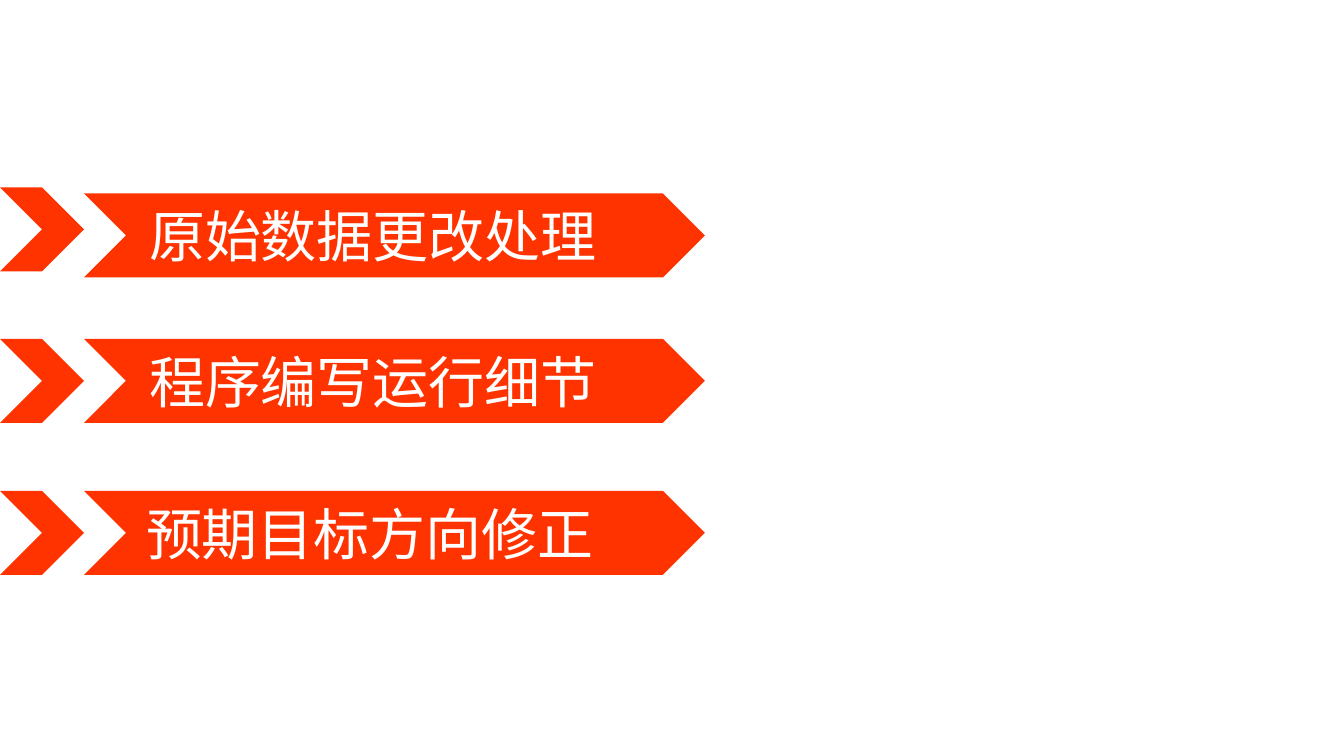
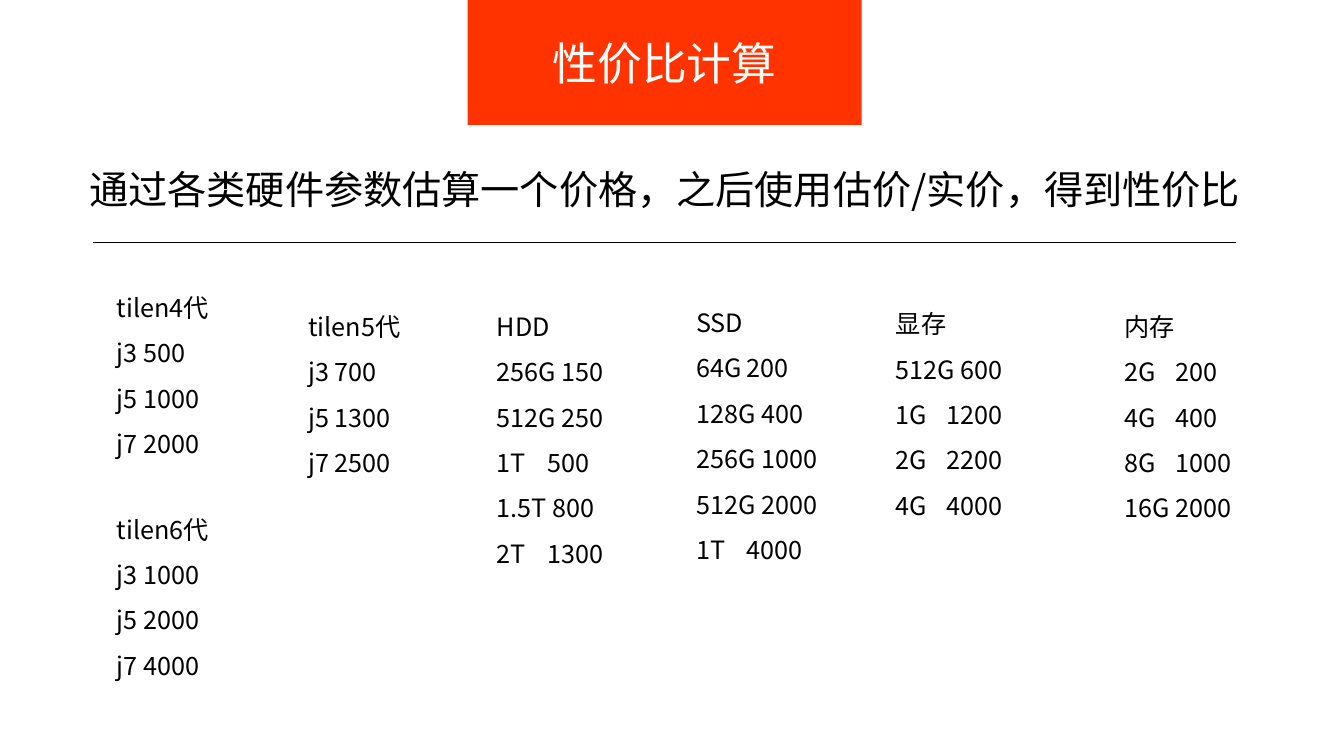
from dataclasses import dataclass

from lxml import etree
from pptx import Presentation
from pptx.dml.color import RGBColor
from pptx.enum.shapes import MSO_CONNECTOR, MSO_SHAPE
from pptx.enum.text import MSO_ANCHOR, MSO_AUTO_SIZE, PP_ALIGN
from pptx.oxml.ns import qn
from pptx.util import Pt

# Shared style
ORANGE = RGBColor(0xFF, 0x33, 0x00)
WHITE = RGBColor(0xFF, 0xFF, 0xFF)
BLACK = RGBColor(0x00, 0x00, 0x00)
FONT = "Noto Sans CJK SC"
CHEVRON = MSO_SHAPE.CHEVRON
RECTANGLE = MSO_SHAPE.RECTANGLE
STRAIGHT = MSO_CONNECTOR.STRAIGHT
LEFT, CENTER = PP_ALIGN.LEFT, PP_ALIGN.CENTER
TOP, MIDDLE = MSO_ANCHOR.TOP, MSO_ANCHOR.MIDDLE
NO_FIT = MSO_AUTO_SIZE.NONE

# Layout of the default template
CONTENT_LAYOUT, BLANK_LAYOUT = 1, 6

# Measures in points
PAGE_WIDTH, PAGE_HEIGHT = 960, 540
ARROW = 60
BANNER_WIDTH = 443.5
LABEL_WIDTH = 350
PRICE_WIDTH = 130
LINE_HEIGHT = 33
PRICE_TABS = (32, 40)


@dataclass(frozen=True)
class Step:
    label: str
    top: float
    arrow_top: float
    label_left: float


@dataclass(frozen=True)
class PriceList:
    left: float
    top: float
    lines: tuple[str, ...]


STEPS = (
    Step("原始数据更改处理", 138.2, 133.9, 99.4),
    Step("程序编写运行细节", 242, 242, 99.4),
    Step("预期目标方向修正", 350.6, 350.6, 97.2),
)

PRICE_LISTS = (
    PriceList(76.3, 194.4, ("tilen4代", "j3 500", "j5 1000", "j7 2000")),
    PriceList(76.3, 352.8, ("tilen6代", "j3 1000", "j5 2000", "j7 4000")),
    PriceList(213.1, 208, ("tilen5代", "j3 700", "j5 1300", "j7 2500")),
    PriceList(347.8, 208, ("HDD", "256G 150", "512G 250", "1T\t500",
                           "1.5T 800", "2T\t1300")),
    PriceList(490.3, 205.2, ("SSD", "64G\t200", "128G 400", "256G 1000",
                             "512G 2000", "1T\t4000")),
    PriceList(632.9, 206, ("显存", "512G 600", "1G\t1200", "2G\t2200",
                           "4G\t4000")),
    PriceList(796.3, 208, ("内存", "2G\t200", "4G\t400", "8G\t1000",
                           "16G\t2000")),
)


# Drawing functions
def place(box, left: float, top: float, width: float, height: float) -> None:
    box.left, box.top = Pt(left), Pt(top)
    box.width, box.height = Pt(width), Pt(height)


def write_text(box, *lines: str, size: float, color: RGBColor = BLACK,
               align=LEFT, anchor=TOP, spacing: float = 1,
               tabs: tuple[float, ...] = ()) -> None:
    """Write one paragraph per line, without bullets or indents."""
    frame = box.text_frame
    frame.word_wrap = True
    frame.auto_size = NO_FIT
    frame.vertical_anchor = anchor
    for index, line in enumerate(lines):
        para = frame.add_paragraph() if index else frame.paragraphs[0]
        para.alignment = align
        para.line_spacing = spacing
        para.space_before = Pt(0)
        span = para.add_run()
        span.text = line
        span.font.size = Pt(size)
        span.font.name = FONT
        span.font.color.rgb = color
        east_asian = etree.SubElement(span.font._element, qn("a:ea"))
        east_asian.set("typeface", FONT)

        properties = para._p.get_or_add_pPr()
        properties.set("marL", "0")
        properties.set("indent", "0")
        etree.SubElement(properties, qn("a:buNone"))
        if tabs:
            stops = etree.SubElement(properties, qn("a:tabLst"))
            for position in tabs:
                etree.SubElement(stops, qn("a:tab"), pos=str(Pt(position)),
                                 algn="l")


def add_text(page, left: float, top: float, width: float, height: float,
             *lines: str, **style) -> None:
    box = page.shapes.add_textbox(Pt(left), Pt(top), Pt(width), Pt(height))
    write_text(box, *lines, **style)


def add_block(page, kind, left: float, top: float, width: float,
              height: float) -> None:
    block = page.shapes.add_shape(kind, Pt(left), Pt(top), Pt(width),
                                  Pt(height))
    block.shadow.inherit = False
    block.fill.solid()
    block.fill.fore_color.rgb = ORANGE
    block.line.fill.background()


def add_rule(page, left: float, right: float, top: float) -> None:
    rule = page.shapes.add_connector(STRAIGHT, Pt(left), Pt(top), Pt(right),
                                     Pt(top))
    rule.line.color.rgb = BLACK
    rule.line.width = Pt(0.5)
    etree.SubElement(rule._element.spPr, qn("a:effectLst"))


def draw_step(page, step: Step) -> None:
    add_block(page, CHEVRON, 0, step.arrow_top, ARROW, ARROW)
    add_block(page, CHEVRON, ARROW, step.top, BANNER_WIDTH, ARROW)
    add_text(page, step.label_left, step.top, LABEL_WIDTH, ARROW, step.label,
             size=40, color=WHITE, anchor=MIDDLE)


def draw_prices(page, prices: PriceList) -> None:
    add_text(page, prices.left, prices.top, PRICE_WIDTH,
             LINE_HEIGHT * len(prices.lines), *prices.lines,
             size=18, spacing=1.5, tabs=PRICE_TABS)


deck = Presentation()
deck.slide_width, deck.slide_height = Pt(PAGE_WIDTH), Pt(PAGE_HEIGHT)

# Slide 1: steps
steps_page = deck.slides.add_slide(deck.slide_layouts[BLANK_LAYOUT])
for step in STEPS:
    draw_step(steps_page, step)

# Slide 2: value for money
value_page = deck.slides.add_slide(deck.slide_layouts[CONTENT_LAYOUT])
title, summary = value_page.placeholders
place(title, 334, 0, 281.5, 89.3)
title.fill.solid()
title.fill.fore_color.rgb = ORANGE
write_text(title, "性价比计算", size=32, color=WHITE, align=CENTER,
           anchor=MIDDLE)
place(summary, 23, 97.9, 903.6, 58.3)
write_text(summary, "通过各类硬件参数估算一个价格，之后使用估价/实价，得到性价比",
           size=28, align=CENTER, spacing=1.5)
add_rule(value_page, 66.2, 882.7, 172.8)
for prices in PRICE_LISTS:
    draw_prices(value_page, prices)

deck.save("out.pptx")
